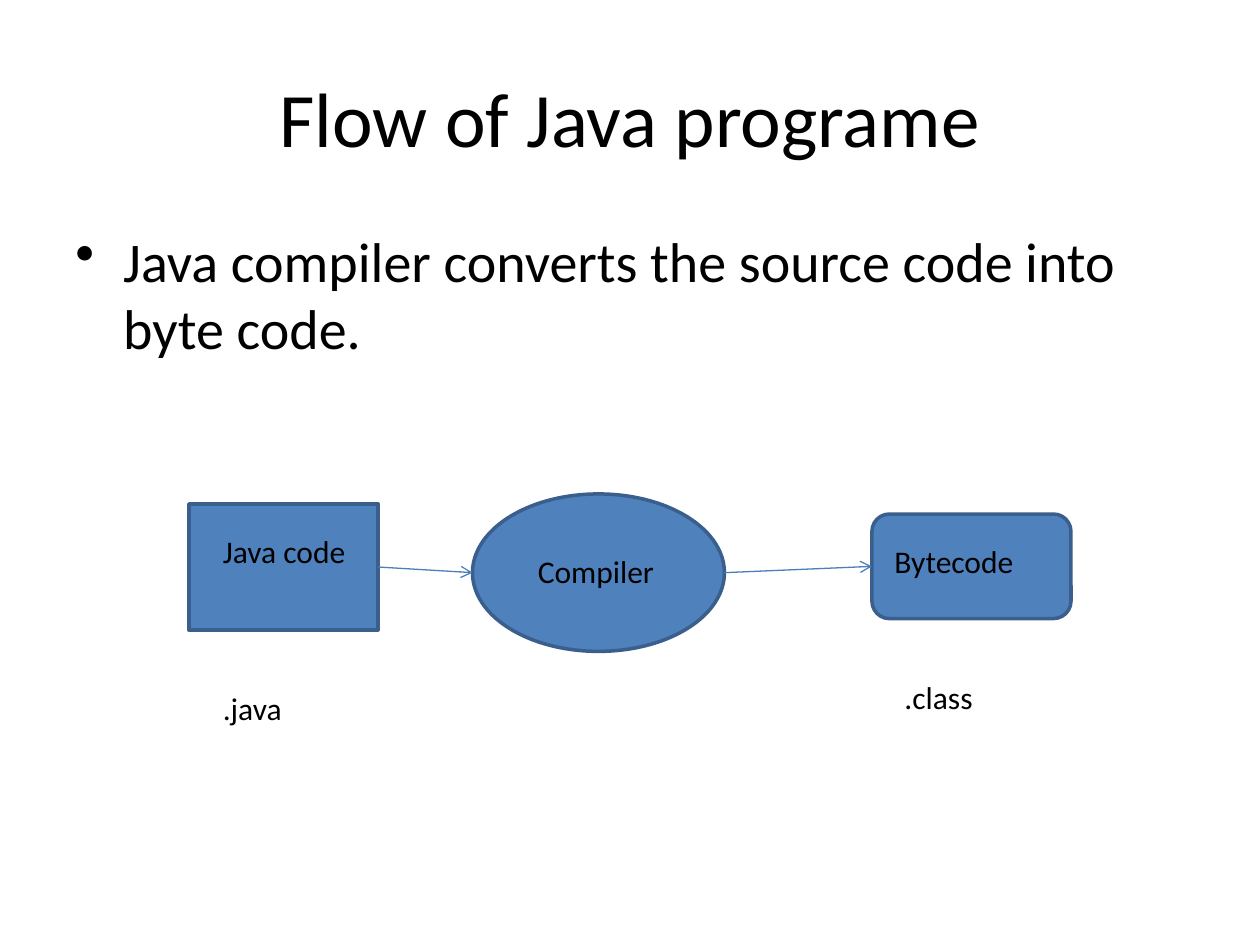
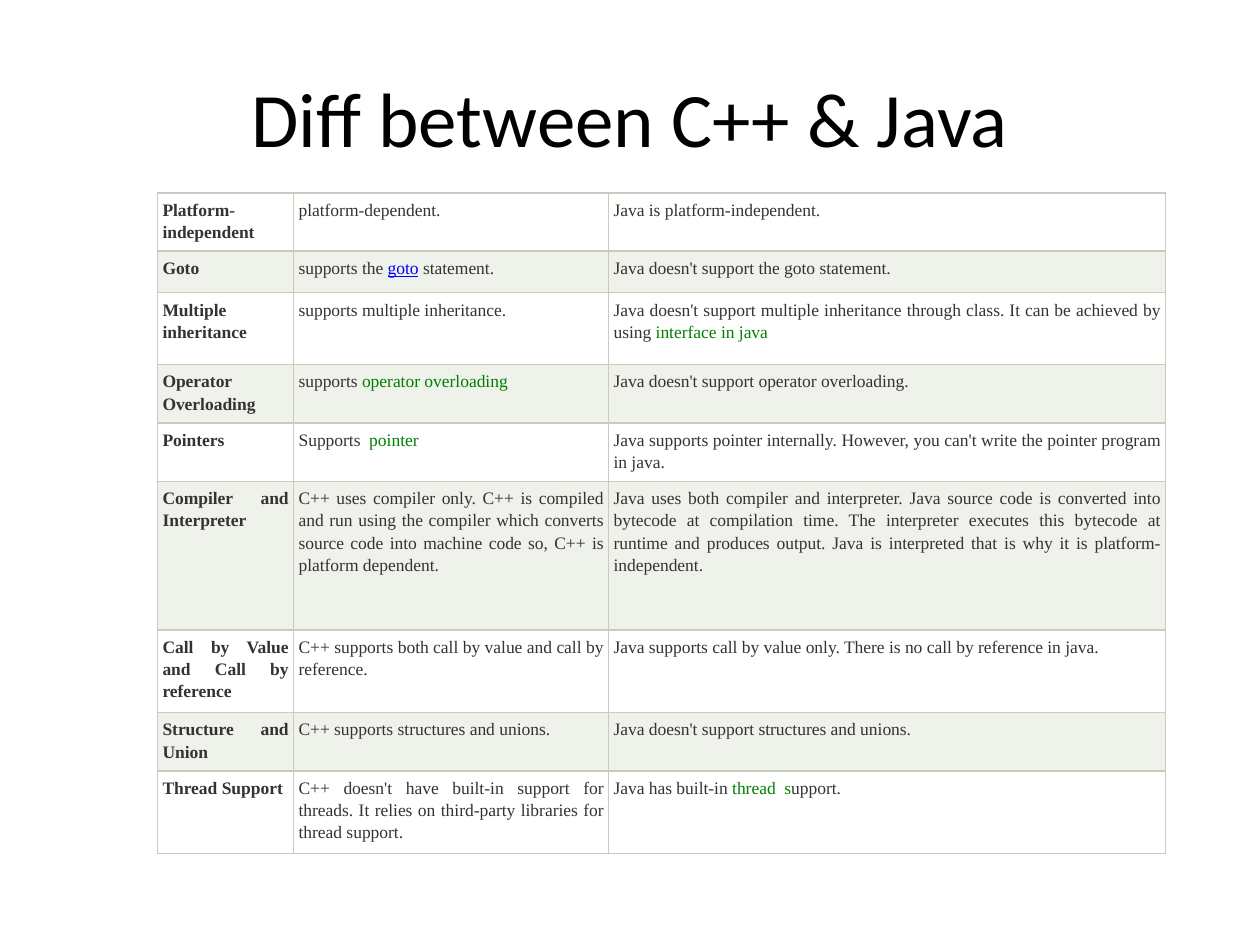
from typing import NamedTuple

from lxml.etree import SubElement
from pptx import Presentation
from pptx.dml.color import RGBColor
from pptx.enum.shapes import MSO_CONNECTOR, MSO_SHAPE as Shape
from pptx.enum.text import MSO_ANCHOR as Anchor, MSO_AUTO_SIZE as AutoSize, PP_ALIGN as Align
from pptx.oxml import parse_xml
from pptx.oxml.ns import nsdecls, qn
from pptx.util import Inches, Pt

COLORS = {
    "text": "000000", "node": "4F81BD", "edge": "3A5F8C", "arrow": "4B7EBC",
    "cell": "333333", "topic": "008000", "link": "0000FF",
    "border": "C7CCBE", "odd": "FFFFFF", "even": "EFF1EB",
}
HEADING_FONT, TABLE_FONT = "Calibri", "Times New Roman"


class Box(NamedTuple):
    left: float
    top: float
    width: float
    height: float


class Node(NamedTuple):
    kind: Shape
    box: Box


class Label(NamedTuple):
    text: str
    box: Box


class Mark(NamedTuple):
    text: str
    color: str = "topic"
    underline: bool = False


class Row(NamedTuple):
    height: float
    feature: str
    cpp: tuple
    java: tuple


NODES = [
    Node(Shape.RECTANGLE, Box(1.5, 4, 1.5, 1)),
    Node(Shape.OVAL, Box(3.75, 3.92, 2, 1.25)),
    Node(Shape.ROUNDED_RECTANGLE, Box(6.92, 4.08, 1.58, 0.83)),
]
LABELS = [
    Label(".java", Box(1.67, 5.42, 1.17, 0.4)),
    Label(".class", Box(7.08, 5.33, 1.17, 0.4)),
    Label("Java code", Box(1.67, 4.17, 1.25, 0.4)),
    Label("Bytecode", Box(7, 4.25, 1.25, 0.4)),
    Label("Compiler", Box(4.17, 4.33, 1.42, 0.4)),
]
COLUMNS = [1.08, 2.5, 4.42]
ROWS = [
    Row(0.21, "Platform-independent", ("platform-dependent.",), ("Java is platform-independent.",)),
    Row(0.33, "Goto", ("supports the ", Mark("goto", "link", True), " statement."),
        ("Java doesn't support the goto statement.",)),
    Row(0.57, "Multiple inheritance", ("supports multiple inheritance.",),
        ("Java doesn't support multiple inheritance through class. It can be achieved by using ",
         Mark("interface in java"))),
    Row(0.33, "Operator Overloading", ("supports ", Mark("operator overloading")),
        ("Java doesn't support operator overloading.",)),
    Row(0.45, "Pointers", ("Supports ", Mark(" pointer")),
        ("Java supports pointer internally. However, you can't write the pointer program in java.",)),
    Row(1.18, "Compiler and Interpreter",
        ("C++ uses compiler only. C++ is compiled and run using the compiler which converts "
         "source code into machine code so, C++ is platform dependent.",),
        ("Java uses both compiler and interpreter. Java source code is converted into bytecode "
         "at compilation time. The interpreter executes this bytecode at runtime and produces "
         "output. Java is interpreted that is why it is platform-independent.",)),
    Row(0.45, "Call by Value and Call by reference",
        ("C++ supports both call by value and call by reference.",),
        ("Java supports call by value only. There is no call by reference in java.",)),
    Row(0.33, "Structure and Union", ("C++ supports structures and unions.",),
        ("Java doesn't support structures and unions.",)),
    Row(0.57, "Thread Support",
        ("C++ doesn't have built-in support for threads. It relies on third-party libraries "
         "for thread support.",),
        ("Java has built-in ", Mark("thread  s"), "upport.")),
]


def rgb(name: str) -> RGBColor:
    return RGBColor.from_string(COLORS[name])


def place(box: Box) -> list:
    return [Inches(v) for v in box]


def add_text(s, text: str, box: Box, size: int):
    tf = s.shapes.add_textbox(*place(box)).text_frame
    tf.word_wrap = True
    p = tf.paragraphs[0]
    p.text = text
    p.font.name, p.font.size = HEADING_FONT, Pt(size)
    p.font.color.rgb = rgb("text")
    return tf


def add_titled_slide(prs, title: str):
    s = prs.slides.add_slide(prs.slide_layouts[6])
    tf = add_text(s, title, Box(0.5, 0.3, 9, 1.25), 44)
    tf.vertical_anchor = Anchor.MIDDLE
    tf.paragraphs[0].alignment = Align.CENTER
    return s


def add_bullet(s, text: str, box: Box) -> None:
    p = add_text(s, text, box, 32).paragraphs[0]
    p.space_before = Pt(6.4)
    pPr = p._p.get_or_add_pPr()
    pPr.set("marL", str(Inches(0.38)))
    pPr.set("indent", str(Inches(-0.38)))
    bullet = parse_xml(f'<a:buChar {nsdecls("a")} char="•"/>')
    pPr.insert_element_before(bullet, "a:tabLst", "a:defRPr", "a:extLst")


def add_node(s, node: Node) -> None:
    sp = s.shapes.add_shape(node.kind, *place(node.box))
    sp.shadow.inherit = False
    sp.fill.solid()
    sp.fill.fore_color.rgb = rgb("node")
    sp.line.color.rgb = rgb("edge")
    sp.line.width = Pt(2)


def add_arrow(s, start: Box, end: Box) -> None:
    points = (start.left + start.width, start.top + start.height / 2,
              end.left, end.top + end.height / 2)
    cxn = s.shapes.add_connector(MSO_CONNECTOR.STRAIGHT, *[Inches(v) for v in points])
    cxn.line.color.rgb = rgb("arrow")
    cxn.line.width = Pt(0.75)
    SubElement(cxn.line._get_or_add_ln(), qn("a:tailEnd"), type="arrow")
    SubElement(cxn._element.spPr, qn("a:effectLst"))


def add_borders(cell) -> None:
    tcPr = cell._tc.get_or_add_tcPr()
    for i, side in enumerate("LRTB"):
        tcPr.insert(i, parse_xml(
            f'<a:ln{side} {nsdecls("a")} w="{Pt(1)}"><a:solidFill>'
            f'<a:srgbClr val="{COLORS["border"]}"/></a:solidFill></a:ln{side}>'))


def fill_cell(cell, parts: tuple, fill: str, bold: bool) -> None:
    cell.margin_left = cell.margin_right = cell.margin_top = cell.margin_bottom = Inches(0.04)
    cell.fill.solid()
    cell.fill.fore_color.rgb = rgb(fill)
    add_borders(cell)
    p = cell.text_frame.paragraphs[0]
    p.alignment, p.line_spacing = Align.JUSTIFY, 1.15
    p.font.name, p.font.size, p.font.bold = TABLE_FONT, Pt(10), bold
    for part in parts:
        mark = part if isinstance(part, Mark) else Mark(part, "cell")
        r = p.add_run()
        r.text = mark.text
        r.font.name, r.font.size, r.font.bold = TABLE_FONT, Pt(10), bold
        r.font.color.rgb = rgb(mark.color)
        r.font.underline = mark.underline


def add_comparison(s, left: float, top: float) -> None:
    box = Box(left, top, sum(COLUMNS), sum(row.height for row in ROWS))
    table = s.shapes.add_table(len(ROWS), len(COLUMNS), *place(box)).table
    table.first_row = table.horz_banding = False
    for column, width in zip(table.columns, COLUMNS):
        column.width = Inches(width)
    for i, row in enumerate(ROWS):
        table.rows[i].height = Inches(row.height)
        for j, parts in enumerate(((row.feature,), row.cpp, row.java)):
            fill_cell(table.cell(i, j), parts, "even" if i % 2 else "odd", j == 0)


def build_flow(prs) -> None:
    s = add_titled_slide(prs, "Flow of Java programe")
    add_bullet(s, "Java compiler converts the source code into byte code.",
               Box(0.5, 1.75, 9, 4.95))
    for node in NODES:
        add_node(s, node)
    for label in LABELS:
        add_text(s, label.text, label.box, 18).auto_size = AutoSize.SHAPE_TO_FIT_TEXT
    for start, end in zip(NODES, NODES[1:]):
        add_arrow(s, start.box, end.box)


def build_comparison(prs) -> None:
    s = add_titled_slide(prs, "Diff between C++ & Java")
    add_comparison(s, 1.25, 1.53)


def main() -> None:
    prs = Presentation()
    prs.slide_width, prs.slide_height = Inches(10), Inches(7.5)
    build_flow(prs)
    build_comparison(prs)
    prs.save("out.pptx")


if __name__ == "__main__":
    main()
